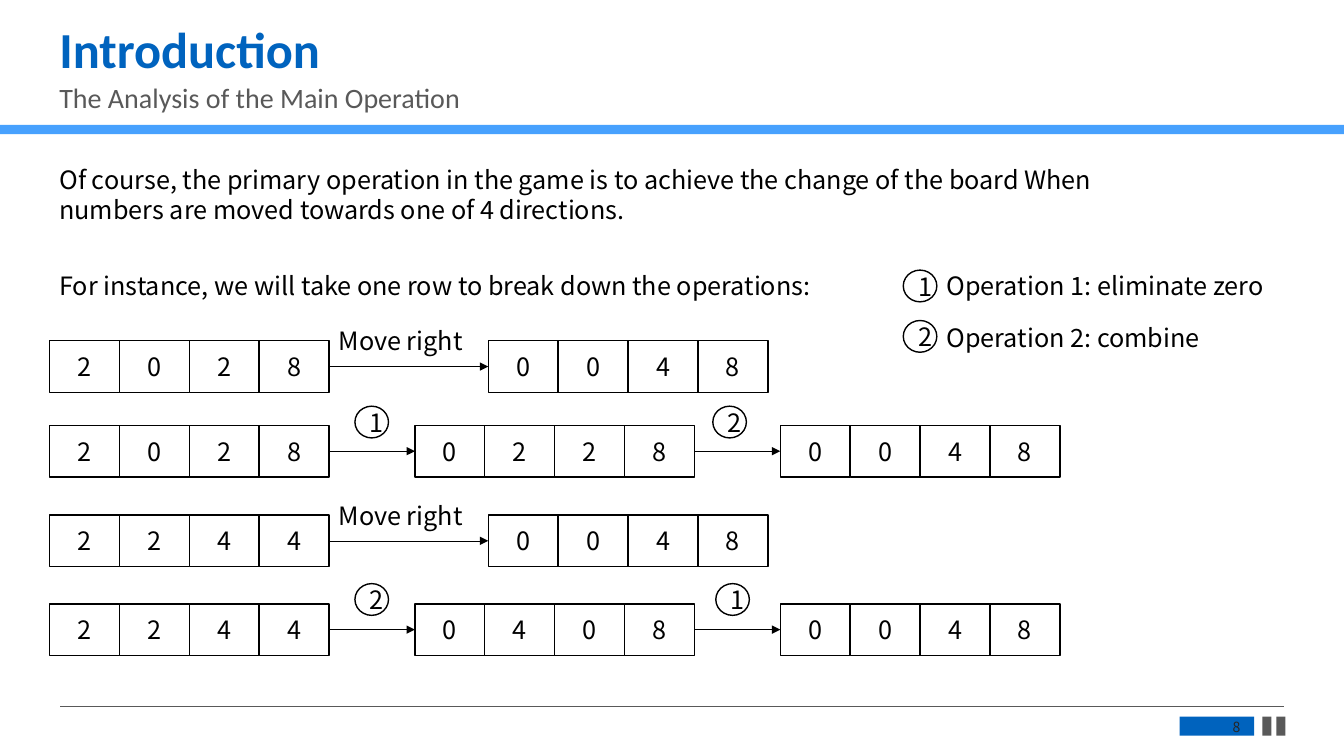
from dataclasses import dataclass
from typing import Any

import lxml.etree
import pptx
import pptx.dml.color
import pptx.enum.shapes
import pptx.enum.text
import pptx.oxml.ns
import pptx.util

COLORS = {
    "blue": "0063BE",
    "sky": "47A1FE",
    "grey": "595959",
    "dark": "262626",
    "black": "000000",
    "white": "FFFFFF",
}
SANS = "Noto Sans CJK SC"
SLIDE_W = pptx.util.Inches(13.33)
SLIDE_H = pptx.util.Inches(7.5)
LEFT = 3.68
CELL_W, CELL_H = 5.2, 6.83
THIRD = 27.19
TEXT_H = 5.33
RECT = pptx.enum.shapes.MSO_SHAPE.RECTANGLE
OVAL = pptx.enum.shapes.MSO_SHAPE.OVAL
ALIGN = pptx.enum.text.PP_ALIGN
MIDDLE = pptx.enum.text.MSO_ANCHOR.MIDDLE


@dataclass(frozen=True)
class Box:
    """Position and size in percent of the slide."""
    x: float
    y: float
    w: float
    h: float

    def emu(self) -> tuple[int, int, int, int]:
        return across(self.x), down(self.y), across(self.w), down(self.h)


@dataclass(frozen=True)
class Style:
    size: float = 18
    color: str = "black"
    font: str = SANS
    bold: bool = False


@dataclass(frozen=True)
class Label:
    text: str
    box: Box


@dataclass(frozen=True)
class Chain:
    y: float
    columns: tuple[float, ...]
    strips: tuple[str, ...]


def across(share: float) -> int:
    return round(SLIDE_W * share / 100)


def down(share: float) -> int:
    return round(SLIDE_H * share / 100)


def rgb(name: str) -> pptx.dml.color.RGBColor:
    return pptx.dml.color.RGBColor.from_string(COLORS[name])


def write(tf: Any, text: str, style: Style) -> Any:
    p = tf.paragraphs[0]
    p.text = text
    p.font.size = pptx.util.Pt(style.size)
    p.font.name = style.font
    p.font.bold = style.bold
    p.font.color.rgb = rgb(style.color)
    return p


def add_text(shapes: Any, label: Label, style: Style = Style(), grow: bool = True) -> Any:
    tf = shapes.add_textbox(*label.box.emu()).text_frame
    tf.word_wrap = True
    if grow:
        tf.auto_size = pptx.enum.text.MSO_AUTO_SIZE.SHAPE_TO_FIT_TEXT
    return write(tf, label.text, style)


def add_block(shapes: Any, box: Box, color: str) -> Any:
    sp = shapes.add_shape(RECT, *box.emu())
    sp.shadow.inherit = False
    sp.fill.solid()
    sp.fill.fore_color.rgb = rgb(color)
    sp.line.fill.background()
    return sp


def add_outlined(shapes: Any, kind: Any, label: Label) -> Any:
    sp = shapes.add_shape(kind, *label.box.emu())
    sp.shadow.inherit = False
    sp.fill.solid()
    sp.fill.fore_color.rgb = rgb("white")
    sp.line.color.rgb = rgb("black")
    sp.line.width = pptx.util.Pt(1)
    sp.text_frame.vertical_anchor = MIDDLE
    write(sp.text_frame, label.text, Style()).alignment = ALIGN.CENTER
    return sp


def add_line(shapes: Any, x1: float, x2: float, y: float, color: str) -> Any:
    c = shapes.add_connector(pptx.enum.shapes.MSO_CONNECTOR.STRAIGHT,
                             across(x1), down(y), across(x2), down(y))
    c.line.color.rgb = rgb(color)
    c.line.width = pptx.util.Pt(0.5)
    lxml.etree.SubElement(c._element.spPr, pptx.oxml.ns.qn("a:effectLst"))
    return c


def add_arrow(shapes: Any, start: Any, end: Any) -> None:
    c = add_line(shapes, 0, 0, 0, "black")
    c.begin_connect(start, 3)
    c.end_connect(end, 1)
    ln = c._element.spPr.find(pptx.oxml.ns.qn("a:ln"))
    lxml.etree.SubElement(ln, pptx.oxml.ns.qn("a:tailEnd"), type="triangle")


def add_strip(shapes: Any, x: float, y: float, digits: str) -> list[Any]:
    group = shapes.add_group_shape()
    return [add_outlined(group.shapes, RECT, Label(d, Box(x + i * CELL_W, y, CELL_W, CELL_H)))
            for i, d in enumerate(digits)]


def add_chain(shapes: Any, chain: Chain) -> None:
    strips = [add_strip(shapes, x, chain.y, digits)
              for x, digits in zip(chain.columns, chain.strips)]
    for before, after in zip(strips, strips[1:]):
        add_arrow(shapes, before[-1], after[0])


def badge(text: str, x: float, y: float) -> Label:
    return Label(text, Box(x, y, 2.5, 4.2))


PAIR = (LEFT, 36.33)
TRIPLE = tuple(LEFT + i * THIRD for i in range(3))
CHAINS = (
    Chain(45.07, PAIR, ("2028", "0048")),
    Chain(56.27, TRIPLE, ("2028", "0228", "0048")),
    Chain(68.13, PAIR, ("2244", "0048")),
    Chain(79.87, TRIPLE, ("2244", "0408", "0048")),
)
BADGES = (
    badge("1", 26.41, 53.73), badge("2", 53.04, 53.73),
    badge("2", 26.41, 77.2), badge("1", 53.26, 77.2),
    badge("1", 67.21, 35.73), badge("2", 67.21, 42.4),
)
HEADINGS = (
    (Label("Introduction", Box(LEFT, 2.67, 91.37, 8.53)), Style(36, "blue", "Calibri", True)),
    (Label("The Analysis of the Main Operation", Box(LEFT, 10.53, 91.37, 6)),
     Style(20, "grey", "Calibri")),
)
TEXTS = (
    Label("Of course, the primary operation in the game is to achieve the change of the board "
          "When numbers are moved towards one of 4 directions.", Box(LEFT, 21.07, 84.4, 9.47)),
    Label("For instance, we will take one row to break down the operations:",
          Box(LEFT, 35.07, 84.4, TEXT_H)),
    Label("Move right", Box(24.46, 42.4, 11.63, TEXT_H)),
    Label("Move right", Box(24.46, 65.47, 11.63, TEXT_H)),
    Label("Operation 1: eliminate zero", Box(69.69, 35.07, 28.36, TEXT_H)),
    Label("Operation 2: combine", Box(69.69, 42, 27, TEXT_H)),
)
FOOTER_BLOCKS = ((87.77, 5.55, "blue"), (93.92, 0.68, "grey"), (94.97, 0.68, "grey"))


def main() -> None:
    prs = pptx.Presentation()
    prs.slide_width, prs.slide_height = SLIDE_W, SLIDE_H
    shapes = prs.slides.add_slide(prs.slide_layouts[6]).shapes

    add_block(shapes, Box(0, 16.53, 100, 1.2), "sky")
    add_line(shapes, 4.5, 95.5, 93.47, "grey")
    footer = shapes.add_group_shape()
    for x, w, color in FOOTER_BLOCKS:
        add_block(footer.shapes, Box(x, 94.8, w, 2.53), color)

    for label, style in HEADINGS:
        p = add_text(shapes, label, style, grow=False)
        p.line_spacing = 0.9
        p.space_before = pptx.util.Pt(10)

    number = Label("8", Box(88.07, 95.07, 4.95, 2.27))
    p = add_text(shapes, number, Style(10, "dark"), grow=False)
    p.alignment = ALIGN.RIGHT
    shapes[-1].text_frame.vertical_anchor = MIDDLE

    for chain in CHAINS:
        add_chain(shapes, chain)
    for label in BADGES:
        add_outlined(shapes, OVAL, label)
    for label in TEXTS:
        add_text(shapes, label)

    prs.save("out.pptx")


if __name__ == "__main__":
    main()
